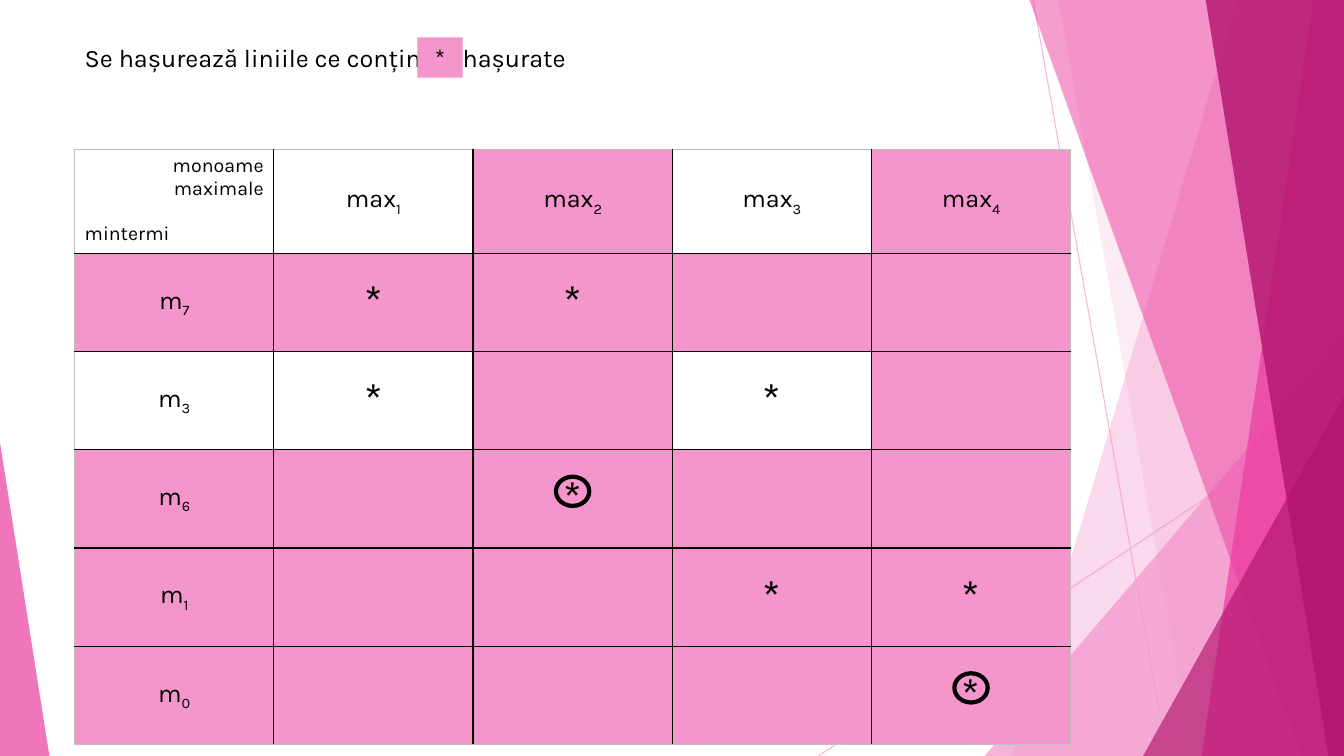
from pptx import Presentation
from pptx.dml.color import RGBColor
from pptx.enum.shapes import MSO_CONNECTOR, MSO_SHAPE
from pptx.enum.text import MSO_ANCHOR, MSO_AUTO_SIZE, PP_ALIGN
from pptx.oxml.ns import qn
from pptx.util import Pt
from lxml import etree

STRAIGHT = MSO_CONNECTOR.STRAIGHT
TRIANGLE, RECTANGLE, OVAL = MSO_SHAPE.ISOSCELES_TRIANGLE, MSO_SHAPE.RECTANGLE, MSO_SHAPE.OVAL
LEFT, CENTER, RIGHT = PP_ALIGN.LEFT, PP_ALIGN.CENTER, PP_ALIGN.RIGHT
TOP, MIDDLE = MSO_ANCHOR.TOP, MSO_ANCHOR.MIDDLE
NO_AUTOFIT = MSO_AUTO_SIZE.NONE

COLORS = {"black": "000000", "pink": "F496CB", "rose": "EB3D9F",
          "magenta": "B2136D", "frame": "BFBFBF"}
FONT = "Karla"
PAGE_WIDTH, PAGE_HEIGHT = 960, 540
BLEED_TOP = -0.6

TABLE_LEFT, TABLE_TOP = 53.28, 106.56
COLUMN_WIDTH = 142.3
HEADER_HEIGHT, ROW_HEIGHT = 74.4, 70.2
MAXIMAL_MONOMIALS = ["1", "2", "3", "4"]
MINTERMS = ["7", "3", "6", "1", "0"]
STARS = {(1, 1), (1, 2), (2, 1), (2, 3), (3, 2), (4, 3), (4, 4), (5, 4)}
CIRCLED_STARS = [(3, 2), (5, 4)]
HATCHED_ROWS = {1, 3, 4, 5}
HATCHED_COLUMNS = {2, 4}

RAYS = [((738, 0), (833.8, 540)), ((960, 290.2), (584.6, 540))]
BANDS = [
    (884.2, 722.9, "pink", 36),
    (756, 851.8, "pink", 20),
    (703.4, 540, None, None),
    (735.1, 929.5, "rose", 50),
    (938.2, 858.2, "rose", 70),
    (861.1, 948.9, "magenta", 80),
]
PINK_WEDGE = (703.4, 239.8, 256.6, 300.2, 1, "pink", 72)
CORNER_WEDGES = [
    (816.5, 283, 143.5, 257, 1, "magenta", 66),
    (0, 316.1, 35.3, 223.9, 0, "rose", 70),
]


def rgb(name):
    return RGBColor.from_string(COLORS[name])


def apply_format(target, values):
    for name, value in values.items():
        setattr(target, name, value)


def set_opacity(shape, percent):
    for color in shape.element.iter(qn("a:srgbClr")):
        etree.SubElement(color, qn("a:alpha"), val=str(percent * 1000))


def paint(shape, color, opacity=100):
    shape.shadow.inherit = False
    shape.fill.solid()
    shape.fill.fore_color.rgb = rgb(color)
    shape.line.fill.background()
    if opacity < 100:
        set_opacity(shape, opacity)


def add_span(para, text, size, subscript=False):
    span = para.add_run()
    span.text = text
    apply_format(span.font, {"name": FONT, "size": Pt(size), "bold": False})
    span.font.color.rgb = rgb("black")
    if subscript:
        span.font._element.set("baseline", "-25000")


def add_ray(group, start, end):
    ray = group.shapes.add_connector(STRAIGHT, *map(Pt, start + end))
    ray.line.color.rgb = rgb("pink")
    ray.line.width = Pt(0.75)
    set_opacity(ray, 70)
    etree.SubElement(ray.element.spPr, qn("a:effectLst"))


def add_band(group, top_left, bottom_left, color, opacity):
    builder = group.shapes.build_freeform(Pt(top_left), Pt(BLEED_TOP))
    corners = [(PAGE_WIDTH, BLEED_TOP), (PAGE_WIDTH, PAGE_HEIGHT), (bottom_left, PAGE_HEIGHT)]
    builder.add_line_segments([(Pt(x), Pt(y)) for x, y in corners], close=True)
    paint(builder.convert_to_shape(), color, opacity)


def add_wedge(group, left, top, width, height, apex, color, opacity):
    wedge = group.shapes.add_shape(TRIANGLE, Pt(left), Pt(top), Pt(width), Pt(height))
    wedge.adjustments[0] = apex
    paint(wedge, color, opacity)


def add_decoration(page):
    group = page.shapes.add_group_shape()
    for start, end in RAYS:
        add_ray(group, start, end)
    for top_left, bottom_left, color, opacity in BANDS:
        if color:
            add_band(group, top_left, bottom_left, color, opacity)
        else:
            add_wedge(group, *PINK_WEDGE)
    for wedge in CORNER_WEDGES:
        add_wedge(group, *wedge)


def add_heading(page):
    title = page.shapes.title
    apply_format(title, {"left": Pt(53.28), "top": Pt(26.64),
                         "width": Pt(429), "height": Pt(28.8)})
    apply_format(title.text_frame, {"word_wrap": True, "auto_size": NO_AUTOFIT,
                                    "vertical_anchor": TOP})
    para = title.text_frame.paragraphs[0]
    para.alignment = LEFT
    add_span(para, "Se hașurează liniile ce conțin\thașurate", 18)
    tabs = etree.SubElement(para._p.get_or_add_pPr(), qn("a:tabLst"))
    etree.SubElement(tabs, qn("a:tab"), pos=str(Pt(270)), algn="l")

    badge = page.shapes.add_shape(RECTANGLE, Pt(298.1), Pt(26.64), Pt(32.4), Pt(28.8))
    paint(badge, "pink")
    badge.text_frame.vertical_anchor = MIDDLE
    para = badge.text_frame.paragraphs[0]
    para.alignment = CENTER
    add_span(para, "*", 18)


def set_borders(cell, sides):
    properties = cell._tc.get_or_add_tcPr()
    for index, (side, color) in enumerate(sides.items()):
        line = etree.Element(qn("a:" + side), w=str(Pt(1)))
        fill = etree.SubElement(line, qn("a:solidFill"))
        etree.SubElement(fill, qn("a:srgbClr"), val=COLORS[color])
        properties.insert(index, line)


def fill_corner(cell):
    lines = [("monoame", RIGHT, 0), ("maximale", RIGHT, 0), ("mintermi", LEFT, 16.4)]
    for index, (text, alignment, space) in enumerate(lines):
        para = cell.text_frame.add_paragraph() if index else cell.text_frame.paragraphs[0]
        apply_format(para, {"alignment": alignment, "space_before": Pt(space)})
        add_span(para, text, 14)


def fill_cell(cell, row, column):
    cell.vertical_anchor = MIDDLE
    para = cell.text_frame.paragraphs[0]
    para.alignment = CENTER
    if row == 0:
        add_span(para, "max", 18)
        add_span(para, MAXIMAL_MONOMIALS[column - 1], 18, True)
    elif column == 0:
        add_span(para, "m", 18)
        add_span(para, MINTERMS[row - 1], 18, True)
    elif (row, column) in STARS:
        add_span(para, "*", 32)


def add_coverage_table(page):
    rows, columns = len(MINTERMS) + 1, len(MAXIMAL_MONOMIALS) + 1
    height = HEADER_HEIGHT + ROW_HEIGHT * len(MINTERMS)
    table = page.shapes.add_table(rows, columns, Pt(TABLE_LEFT), Pt(TABLE_TOP),
                                  Pt(COLUMN_WIDTH * columns), Pt(height)).table
    apply_format(table, {"first_row": False, "horz_banding": False})
    for column in table.columns:
        column.width = Pt(COLUMN_WIDTH)
    for index, row in enumerate(table.rows):
        row.height = Pt(ROW_HEIGHT if index else HEADER_HEIGHT)
    for row in range(rows):
        for column in range(columns):
            cell = table.cell(row, column)
            if row in HATCHED_ROWS or column in HATCHED_COLUMNS:
                cell.fill.solid()
                cell.fill.fore_color.rgb = rgb("pink")
            else:
                cell.fill.background()
            if row == column == 0:
                fill_corner(cell)
            else:
                fill_cell(cell, row, column)
            outer = {"lnL": column == 0, "lnR": column == columns - 1,
                     "lnT": row == 0, "lnB": row == rows - 1}
            set_borders(cell, {side: "frame" if edge else "black"
                               for side, edge in outer.items()})


def add_star_circle(page, row, column):
    width, height, lift = 23.8, 20.9, 5.5
    center_x = TABLE_LEFT + COLUMN_WIDTH * (column + 0.5)
    center_y = TABLE_TOP + HEADER_HEIGHT + ROW_HEIGHT * (row - 0.5) - lift
    circle = page.shapes.add_shape(OVAL, Pt(center_x - width / 2), Pt(center_y - height / 2),
                                   Pt(width), Pt(height))
    circle.shadow.inherit = False
    circle.fill.background()
    circle.line.color.rgb = rgb("black")
    circle.line.width = Pt(3)


def main():
    deck = Presentation()
    apply_format(deck, {"slide_width": Pt(PAGE_WIDTH), "slide_height": Pt(PAGE_HEIGHT)})
    page = deck.slides.add_slide(deck.slide_layouts[5])
    add_decoration(page)
    add_heading(page)
    add_coverage_table(page)
    for row, column in CIRCLED_STARS:
        add_star_circle(page, row, column)
    deck.save("out.pptx")


main()
